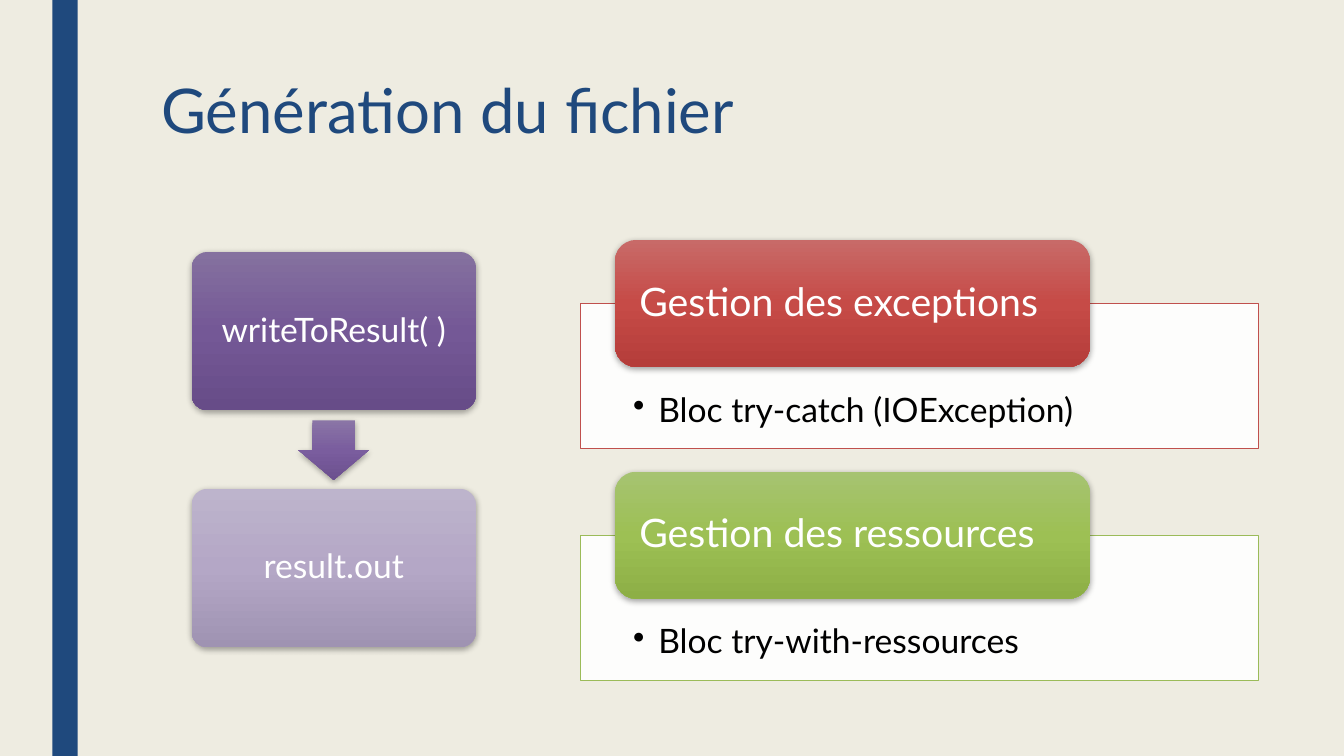
from dataclasses import dataclass

from lxml.etree import SubElement
from pptx import Presentation
from pptx.dml.color import RGBColor
from pptx.enum.shapes import MSO_SHAPE
from pptx.enum.text import MSO_ANCHOR, PP_ALIGN
from pptx.oxml.ns import qn
from pptx.shapes.autoshape import Shape
from pptx.slide import Slide
from pptx.text.text import TextFrame
from pptx.util import Inches, Pt


@dataclass(frozen=True)
class Theme:
    font: str = "Lato"
    background: str = "EEECE1"
    navy: str = "1F497D"
    white: str = "FFFFFF"
    black: str = "000000"
    red: str = "C0504D"
    green: str = "9BBB59"
    purple_gradient: tuple[str, ...] = ("85719F", "745896", "674C88")
    arrow_gradient: tuple[str, ...] = ("8A75A6", "7A5D9E", "6C508F")
    lilac_gradient: tuple[str, ...] = ("BDB4CC", "B4A7C6", "9F93B2")
    red_gradient: tuple[str, ...] = ("C86A68", "C64B47", "B53D3A")
    green_gradient: tuple[str, ...] = ("A6C371", "9DC054", "8DAF46")
    title_size: int = 44
    header_size: int = 28
    body_size: int = 24


@dataclass(frozen=True)
class Box:
    left: float
    top: float
    width: float
    height: float


@dataclass(frozen=True)
class Step:
    text: str
    gradient: tuple[str, ...]


@dataclass(frozen=True)
class Panel:
    header: str
    detail: str
    gradient: tuple[str, ...]
    border: str


THEME = Theme()
STEPS = (
    Step("writeToResult( )", THEME.purple_gradient),
    Step("result.out", THEME.lilac_gradient),
)
PANELS = (
    Panel("Gestion des exceptions", "Bloc try-catch (IOException)",
          THEME.red_gradient, THEME.red),
    Panel("Gestion des ressources", "Bloc try-with-ressources",
          THEME.green_gradient, THEME.green),
)
STEP_TOP, STEP_PITCH = 2.5, 2.35
PANEL_TOP, PANEL_PITCH = 2.38, 2.3
HEADER_OVERHANG = 0.63


def add_box(page: Slide, kind: MSO_SHAPE, box: Box) -> Shape:
    shape = page.shapes.add_shape(
        kind, Inches(box.left), Inches(box.top), Inches(box.width), Inches(box.height))
    shape.shadow.inherit = False
    shape.line.fill.background()
    return shape


def fill_solid(shape: Shape, color: str) -> None:
    shape.fill.solid()
    shape.fill.fore_color.rgb = RGBColor.from_string(color)


def add_glossy(page: Slide, kind: MSO_SHAPE, box: Box, gradient: tuple[str, ...]) -> Shape:
    shape = add_box(page, kind, box)
    shape.fill.gradient()
    shape.fill.gradient_angle = 270
    properties = shape._element.spPr
    stops = properties.find(f"{qn('a:gradFill')}/{qn('a:gsLst')}")
    for stop in list(stops):
        stops.remove(stop)
    for index, color in enumerate(gradient):
        stop = SubElement(stops, qn("a:gs"), pos=str(index * 50000))
        SubElement(stop, qn("a:srgbClr"), val=color)
    shadow = SubElement(
        properties.find(qn("a:effectLst")), qn("a:outerShdw"),
        blurRad=str(Pt(4.5)), dist=str(Pt(1.5)), dir="5400000", rotWithShape="0")
    shade = SubElement(shadow, qn("a:srgbClr"), val=THEME.black)
    SubElement(shade, qn("a:alpha"), val="35000")
    return shape


def write(frame: TextFrame, text: str, size: int, color: str,
          insets: tuple[float, float, float, float],
          align: PP_ALIGN = PP_ALIGN.LEFT,
          anchor: MSO_ANCHOR = MSO_ANCHOR.MIDDLE, bullet: bool = False) -> None:
    frame.word_wrap = True
    frame.vertical_anchor = anchor
    (frame.margin_left, frame.margin_top,
     frame.margin_right, frame.margin_bottom) = map(Inches, insets)
    para = frame.paragraphs[0]
    para.text = text
    para.alignment = align
    para.line_spacing = 0.9
    para.font.name = THEME.font
    para.font.size = Pt(size)
    para.font.color.rgb = RGBColor.from_string(color)
    if bullet:
        properties = para._p.get_or_add_pPr()
        properties.set("marL", str(Inches(0.25)))
        properties.set("indent", str(Inches(-0.25)))
        mark = properties.makeelement(qn("a:buChar"), {"char": "•"})
        properties.find(qn("a:defRPr")).addprevious(mark)


def add_step(page: Slide, step: Step, top: float) -> None:
    shape = add_glossy(page, MSO_SHAPE.ROUNDED_RECTANGLE,
                       Box(1.9, top, 2.82, 1.57), step.gradient)
    shape.adjustments[0] = 0.1
    write(shape.text_frame, step.text, THEME.body_size, THEME.white,
          (0.1, 0.1, 0.1, 0.1), PP_ALIGN.CENTER)


def add_panel(page: Slide, panel: Panel, top: float) -> None:
    body = add_box(page, MSO_SHAPE.RECTANGLE,
                   Box(5.76, top + HEADER_OVERHANG, 6.72, 1.44))
    fill_solid(body, THEME.white)
    white = body._element.spPr.find(f"{qn('a:solidFill')}/{qn('a:srgbClr')}")
    SubElement(white, qn("a:alpha"), val="90000")
    body.line.color.rgb = RGBColor.from_string(panel.border)
    body.line.width = Pt(0.5)
    write(body.text_frame, panel.detail, THEME.body_size, THEME.black,
          (0.52, 0.89, 0.52, 0.19), anchor=MSO_ANCHOR.TOP, bullet=True)
    header = add_glossy(page, MSO_SHAPE.ROUNDED_RECTANGLE,
                        Box(6.1, top, 4.71, 1.26), panel.gradient)
    write(header.text_frame, panel.header, THEME.header_size, THEME.white,
          (0.18, 0, 0.18, 0))


def main() -> None:
    deck = Presentation()
    deck.slide_width, deck.slide_height = Inches(13.33), Inches(7.5)
    page = deck.slides.add_slide(deck.slide_layouts[6])
    page.background.fill.solid()
    page.background.fill.fore_color.rgb = RGBColor.from_string(THEME.background)

    band = add_box(page, MSO_SHAPE.RECTANGLE, Box(0.52, 0, 0.25, 7.5))
    fill_solid(band, THEME.navy)
    title = page.shapes.add_textbox(Inches(1.5), Inches(0.75), Inches(10.5), Inches(1.62))
    write(title.text_frame, "Génération du fichier", THEME.title_size, THEME.navy,
          (0.1, 0.05, 0.1, 0.05), anchor=MSO_ANCHOR.TOP)

    for index, step in enumerate(STEPS):
        add_step(page, step, STEP_TOP + index * STEP_PITCH)
    arrow = add_glossy(page, MSO_SHAPE.DOWN_ARROW,
                       Box(2.96, 4.17, 0.7, 0.59), THEME.arrow_gradient)
    arrow.adjustments[0] = 0.6
    arrow.adjustments[1] = 0.5

    for index, panel in enumerate(PANELS):
        add_panel(page, panel, PANEL_TOP + index * PANEL_PITCH)
    deck.save("out.pptx")


main()
